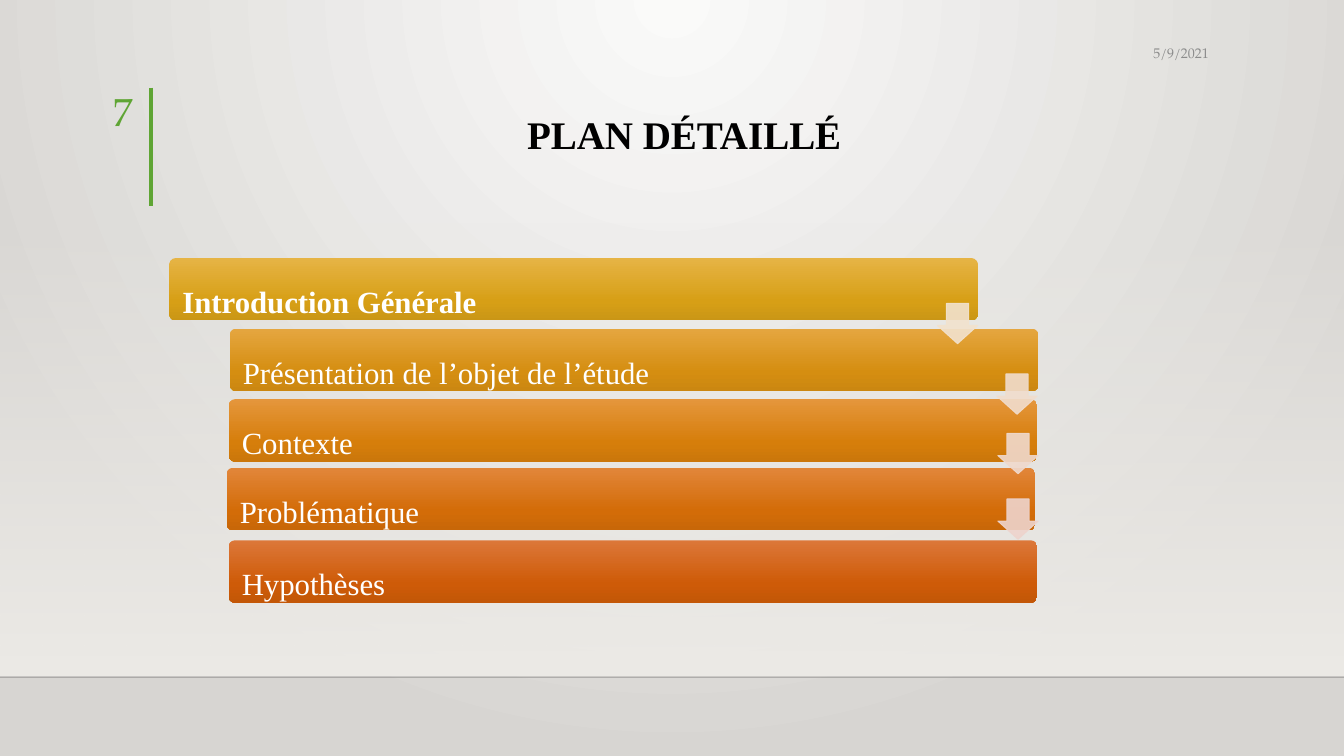
from dataclasses import dataclass

from lxml import etree
from pptx import Presentation
from pptx import util as u
from pptx.dml import color
from pptx.enum import shapes, text
from pptx.oxml import ns

SERIF = "Times New Roman"
PAGELLA = "TeX Gyre Pagella"
GREEN = "5FA534"
BAR_SIZE = (577.4, 44.6)
ARROW_SIZE = (28.8, 28.8)


@dataclass
class Stop:
    position: int
    colour: str
    opacity: int = 100


@dataclass
class Bar:
    label: str
    left: float
    top: float
    colours: tuple[str, str, str]
    bold: bool = False


@dataclass
class Arrow:
    left: float
    top: float
    colour: str


BARS = [
    Bar("Introduction Générale", 121, 184.3, ("E6B445", "D79F16", "CA9616"), True),
    Bar("Présentation de l’objet de l’étude", 164.2, 234.7, ("E5A640", "D58E11", "CB8711")),
    Bar("Contexte", 163.4, 285.1, ("E5963C", "D67E0B", "CB770B")),
    Bar("Problématique", 162, 334.1, ("E2863A", "D36C08", "C86708")),
    Bar("Hypothèses", 163.4, 385.9, ("DC7739", "CE5B08", "C35707")),
]
ARROWS = [
    Arrow(669.6, 216.7, "F2E2CE"),
    Arrow(712.1, 267.1, "F1DDCD"),
    Arrow(712.8, 309.6, "F0D9CD"),
    Arrow(712.8, 356.4, "EED4CD"),
]


def paint(target, colour: str) -> None:
    target.solid()
    target.fore_color.rgb = color.RGBColor.from_string(colour)


def set_opacity(element, percent: int) -> None:
    for node in list(element.iter(ns.qn("a:srgbClr"))):
        etree.SubElement(node, ns.qn("a:alpha"), val=str(percent * 1000))


def set_gradient(fill, element, stops: list[Stop], radial: bool = False) -> None:
    paint(fill, stops[0].colour)
    solid = element.find(".//" + ns.qn("a:solidFill"))
    gradient = etree.Element(ns.qn("a:gradFill"), rotWithShape="1")
    stop_list = etree.SubElement(gradient, ns.qn("a:gsLst"))
    for stop in stops:
        node = etree.SubElement(stop_list, ns.qn("a:gs"), pos=str(stop.position * 1000))
        etree.SubElement(node, ns.qn("a:srgbClr"), val=stop.colour)
        if stop.opacity < 100:
            set_opacity(node, stop.opacity)
    if radial:
        circle = etree.SubElement(gradient, ns.qn("a:path"), path="circle")
        etree.SubElement(circle, ns.qn("a:fillToRect"), l="43000", t="0", r="43000", b="100000")
    else:
        etree.SubElement(gradient, ns.qn("a:lin"), ang="5400000", scaled="0")
    solid.getparent().replace(solid, gradient)


def write(box, words: str, *, size: float, colour: str, font: str = SERIF, bold: bool = False,
          align=text.PP_ALIGN.RIGHT, anchor=text.MSO_ANCHOR.TOP, spacing: float = 1.0,
          insets: tuple[float, float, float, float] = (7.2, 3.6, 7.2, 3.6)) -> None:
    frame = box.text_frame
    frame.word_wrap = True
    frame.auto_size = text.MSO_AUTO_SIZE.NONE
    frame.vertical_anchor = anchor
    frame.margin_left, frame.margin_top, frame.margin_right, frame.margin_bottom = map(u.Pt, insets)
    para = frame.paragraphs[0]
    para.alignment = align
    para.line_spacing = spacing
    span = para.add_run()
    span.text = words
    span.font.name = font
    span.font.size = u.Pt(size)
    span.font.bold = bold
    paint(span.font.fill, colour)


def add_block(page, kind, left: float, top: float, size: tuple[float, float]):
    block = page.shapes.add_shape(kind, u.Pt(left), u.Pt(top), *map(u.Pt, size))
    block.shadow.inherit = False
    block.line.fill.background()
    return block


def add_rule(page, ends: tuple[float, float, float, float], colour: str, width: float,
             opacity: int = 100) -> None:
    rule = page.shapes.add_connector(shapes.MSO_CONNECTOR.STRAIGHT, *map(u.Pt, ends))
    paint(rule.line.fill, colour)
    rule.line.width = u.Pt(width)
    if opacity < 100:
        set_opacity(rule.line.fill._xPr, opacity)
    etree.SubElement(rule._element.spPr, ns.qn("a:effectLst"))


def add_bar(page, bar: Bar) -> None:
    block = add_block(page, shapes.MSO_SHAPE.ROUNDED_RECTANGLE, bar.left, bar.top, BAR_SIZE)
    block.adjustments[0] = 0.1
    stops = [Stop(position, colour) for position, colour in zip((0, 69, 100), bar.colours)]
    set_gradient(block.fill, block._element.spPr, stops)
    write(block, bar.label, size=22, colour="FFFFFF", bold=bar.bold, spacing=1.5,
          align=text.PP_ALIGN.JUSTIFY, anchor=text.MSO_ANCHOR.MIDDLE, insets=(8, 4, 8, 0))


def add_arrow(page, arrow: Arrow) -> None:
    block = add_block(page, shapes.MSO_SHAPE.DOWN_ARROW, arrow.left, arrow.top, ARROW_SIZE)
    block.adjustments[0] = 0.55
    block.adjustments[1] = 0.45
    paint(block.fill, arrow.colour)
    paint(block.line.fill, arrow.colour)
    block.line.width = u.Pt(0.75)
    set_opacity(block._element.spPr, 90)


def main() -> None:
    deck = Presentation()
    deck.slide_width, deck.slide_height = u.Pt(960), u.Pt(540)
    page = deck.slides.add_slide(deck.slide_layouts[5])
    set_gradient(page.background.fill, page._element.cSld,
                 [Stop(0, "FAFAF9"), Stop(100, "D7D5D2")], radial=True)

    band = add_block(page, shapes.MSO_SHAPE.RECTANGLE, 0, 158.4, (960, 324))
    set_gradient(band.fill, band._element.spPr, [Stop(0, "EDEBE7", 0), Stop(100, "EDEBE7")])
    add_rule(page, (0, 483.8, 960, 483.8), "000001", 1, 20)
    add_rule(page, (108, 62.6, 108, 146.9), GREEN, 3)

    title = page.shapes.title
    title.left, title.top, title.width, title.height = map(u.Pt, (121, 63.4, 749.5, 82.8))
    write(title, "PLAN DÉTAILLÉ", size=27.9, colour="000000", bold=True, spacing=1.35,
          align=text.PP_ALIGN.CENTER, insets=(7.2, 3.6, 21.2, 3.6))

    date = page.shapes.add_textbox(*map(u.Pt, (594.7, 25.9, 275.8, 24.5)))
    write(date, "5/9/2021", size=10, colour="8C8C8C", font=PAGELLA,
          anchor=text.MSO_ANCHOR.MIDDLE)
    number = page.shapes.add_textbox(*map(u.Pt, (38.2, 62.6, 64.1, 39.6)))
    write(number, "7", size=28, colour=GREEN, font=PAGELLA, spacing=0.9)

    for bar in BARS:
        add_bar(page, bar)
    for arrow in ARROWS:
        add_arrow(page, arrow)
    deck.save("out.pptx")


if __name__ == "__main__":
    main()
